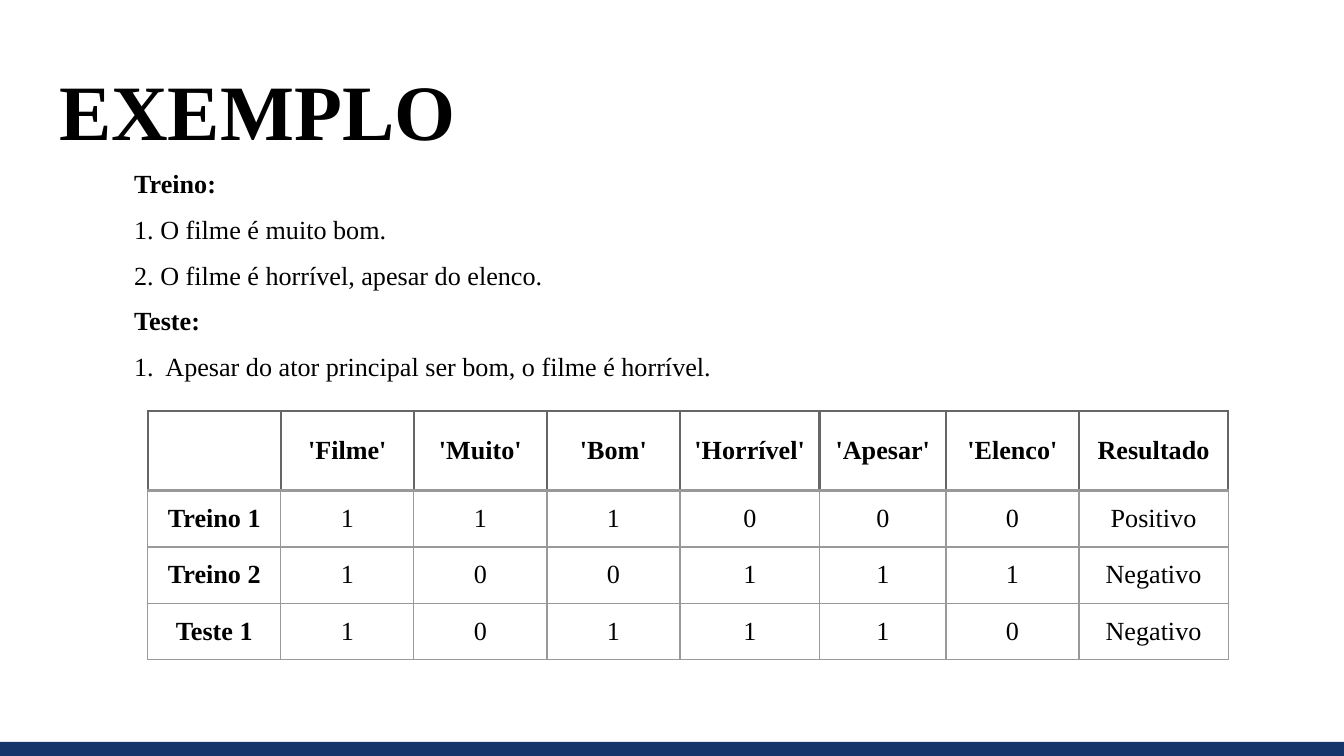
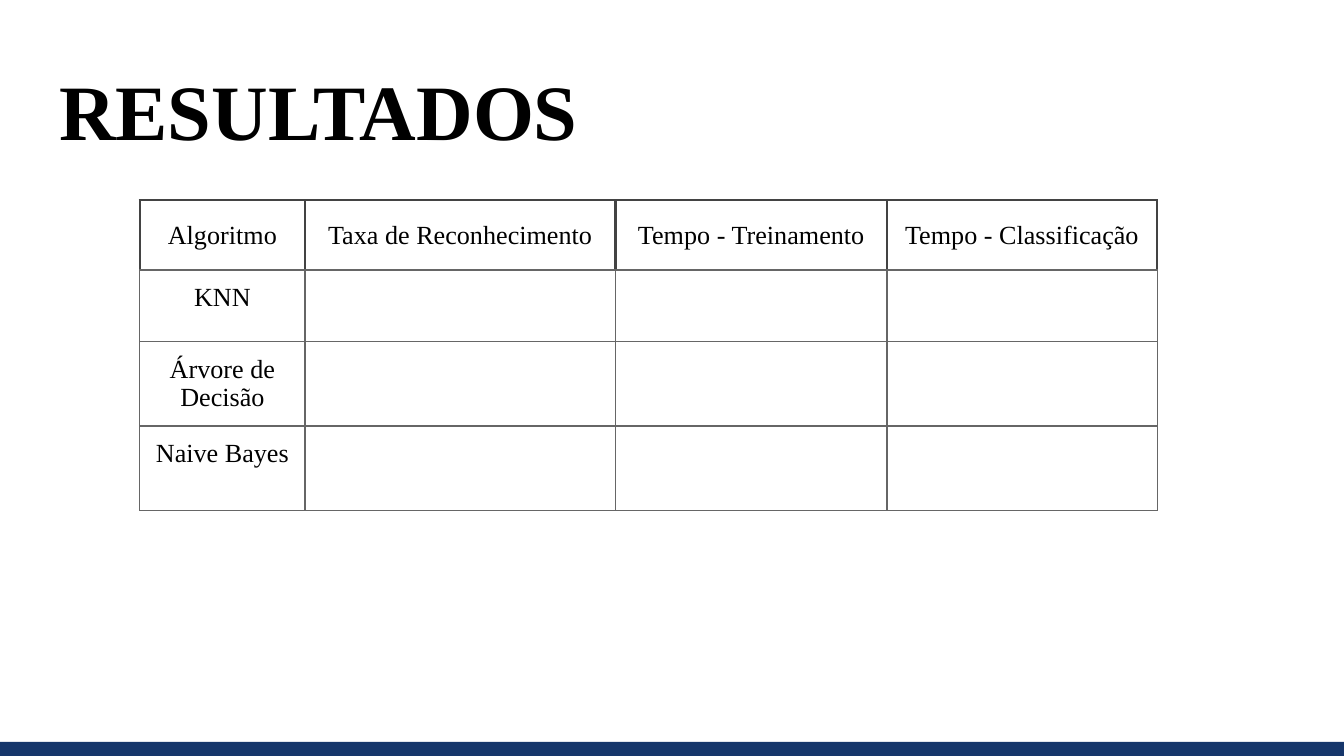
from dataclasses import dataclass

from lxml import etree
from pptx import Presentation
from pptx.dml.color import RGBColor
from pptx.enum.shapes import MSO_SHAPE
from pptx.enum.text import MSO_ANCHOR, MSO_AUTO_SIZE, PP_ALIGN
from pptx.oxml.ns import qn
from pptx.util import Inches, Pt

WHITE = RGBColor(0xFF, 0xFF, 0xFF)
BLACK = RGBColor(0x00, 0x00, 0x00)
NAVY = RGBColor(0x16, 0x36, 0x6B)
CHARCOAL = RGBColor(0x43, 0x43, 0x43)
DARK_GRAY = RGBColor(0x66, 0x66, 0x66)
GRAY = RGBColor(0x99, 0x99, 0x99)

RECTANGLE = MSO_SHAPE.RECTANGLE
TOP, MIDDLE, BOTTOM = MSO_ANCHOR.TOP, MSO_ANCHOR.MIDDLE, MSO_ANCHOR.BOTTOM
LEFT, CENTER = PP_ALIGN.LEFT, PP_ALIGN.CENTER
NO_AUTOFIT = MSO_AUTO_SIZE.NONE

FONT = "Times New Roman"
TITLE_SIZE, TEXT_SIZE = Pt(42), Pt(14)
THICK, THIN = Pt(1.5), Pt(0.75)
SLIDE_WIDTH, SLIDE_HEIGHT = Inches(10), Inches(5.625)
MARGIN = Inches(0.1)


@dataclass
class TableStyle:
    """Line colours and text treatment of one table."""
    header_line: RGBColor
    body_line: RGBColor
    bold_labels: bool
    body_anchor: MSO_ANCHOR


def box(left, top, width, height):
    """Turn percentages of the slide into left, top, width and height."""
    return (int(SLIDE_WIDTH * left / 100), int(SLIDE_HEIGHT * top / 100),
            int(SLIDE_WIDTH * width / 100), int(SLIDE_HEIGHT * height / 100))


TITLE_BOX = box(3.4, 6.22, 93.2, 16.18)
FOOTER_BOX = box(0, 98.13, 100, 1.87)


def add_run(paragraph, text, size=TEXT_SIZE, bold=False):
    """Add one run in the deck's font."""
    run = paragraph.add_run()
    run.text = text
    run.font.name, run.font.size, run.font.bold = FONT, size, bold
    run.font.color.rgb = BLACK


def set_margins(holder):
    """Give a text frame or a cell equal margins."""
    holder.margin_left = holder.margin_right = MARGIN
    holder.margin_top = holder.margin_bottom = MARGIN


def add_footer_band(slide, area):
    """Draw the band along the bottom edge."""
    band = slide.shapes.add_shape(RECTANGLE, *area)
    band.shadow.inherit = False
    band.fill.solid()
    band.fill.fore_color.rgb = NAVY
    band.line.fill.background()


def set_title(slide, text, area):
    """Place and format the title placeholder."""
    title = slide.shapes.title
    title.left, title.top, title.width, title.height = area
    frame = title.text_frame
    set_margins(frame)
    frame.auto_size, frame.vertical_anchor = NO_AUTOFIT, BOTTOM
    paragraph = frame.paragraphs[0]
    paragraph.alignment = LEFT
    add_run(paragraph, text, TITLE_SIZE, True)


def start_slide(presentation, title):
    """Add a slide with the shared background, band and title."""
    slide = presentation.slides.add_slide(presentation.slide_layouts[5])
    slide.background.fill.solid()
    slide.background.fill.fore_color.rgb = WHITE
    add_footer_band(slide, FOOTER_BOX)
    set_title(slide, title, TITLE_BOX)
    return slide


def add_sentences(slide, area, sentences):
    """Write the sentences, each a pair of text and bold flag."""
    frame = slide.shapes.add_textbox(*area).text_frame
    frame.word_wrap = True
    set_margins(frame)
    for index, (text, bold) in enumerate(sentences):
        paragraph = frame.add_paragraph() if index else frame.paragraphs[0]
        paragraph.line_spacing, paragraph.space_after = 0.5, Pt(16)
        properties = paragraph._p.get_or_add_pPr()
        properties.set("marL", str(Inches(0.5)))
        properties.set("indent", str(-Inches(0.08)))
        add_run(paragraph, text, bold=bold)


def set_borders(cell, borders):
    """Draw cell borders from a mapping of side to colour and width."""
    properties = cell._tc.get_or_add_tcPr()
    for side in "LRTB":
        color, width = borders[side]
        line = etree.SubElement(properties, qn(f"a:ln{side}"), w=str(width))
        fill = etree.SubElement(line, qn("a:solidFill"))
        etree.SubElement(fill, qn("a:srgbClr"), val=str(color))


def borders_for_row(row, style):
    """Choose the borders for a header row or a body row."""
    divider = (style.body_line, THICK)
    if row == 0:
        return {**dict.fromkeys("LRT", (style.header_line, THICK)), "B": divider}
    borders = dict.fromkeys("LRTB", (style.body_line, THIN))
    return {**borders, "T": divider} if row == 1 else borders


def share_out(parts, total, weights):
    """Split a length over columns or rows by weight."""
    for part, weight in zip(parts, weights):
        size = int(total * weight / sum(weights))
        if hasattr(part, "width"):
            part.width = size
        else:
            part.height = size


def add_grid_table(slide, area, column_weights, row_weights, rows, style):
    """Add a ruled table with a header row and a label column."""
    table = slide.shapes.add_table(len(rows), len(rows[0]), *area).table
    table.first_row = table.horz_banding = False
    share_out(table.columns, area[2], column_weights)
    share_out(table.rows, area[3], row_weights)
    for row, texts in enumerate(rows):
        for column, text in enumerate(texts):
            cell = table.cell(row, column)
            set_margins(cell)
            set_borders(cell, borders_for_row(row, style))
            cell.fill.background()
            cell.vertical_anchor = style.body_anchor if row else MIDDLE
            paragraph = cell.text_frame.paragraphs[0]
            paragraph.alignment = CENTER
            if text:
                is_label = row == 0 or column == 0
                add_run(paragraph, text, bold=style.bold_labels and is_label)


def build_example(presentation):
    """Build the slide with sample sentences and their word counts."""
    slide = start_slide(presentation, "EXEMPLO")
    rows = [
        ["", "'Filme'", "'Muito'", "'Bom'", "'Horrível'", "'Apesar'",
         "'Elenco'", "Resultado"],
        ["Treino 1", *"111000", "Positivo"],
        ["Treino 2", *"100111", "Negativo"],
        ["Teste 1", *"101110", "Negativo"],
    ]
    add_grid_table(slide, box(11, 54.4, 80.4, 32.89),
                   [0.99, 0.99, 0.99, 0.99, 1.04, 0.94, 0.99, 1.11],
                   [0.59, 0.42, 0.42, 0.42], rows,
                   TableStyle(DARK_GRAY, GRAY, True, MIDDLE))
    add_sentences(slide, box(4.8, 22.22, 80.4, 45.51), [
        ("Treino:", True),
        ("1. O filme é muito bom.", False),
        ("2. O filme é horrível, apesar do elenco.", False),
        ("Teste:", True),
        ("1.  Apesar do ator principal ser bom, o filme é horrível.", False),
    ])


def build_results(presentation):
    """Build the slide with the algorithm comparison."""
    slide = start_slide(presentation, "RESULTADOS")
    headers = ["Algoritmo", "Taxa de Reconhecimento", "Tempo - Treinamento",
               "Tempo - Classificação"]
    algorithms = ["KNN", "Árvore de Decisão", "Naive Bayes"]
    rows = [headers] + [[name, "", "", ""] for name in algorithms]
    add_grid_table(slide, box(10.4, 26.49, 75.7, 41.07),
                   [1.23, 2.31, 2.02, 2.01], [0.52, 0.53, 0.63, 0.63], rows,
                   TableStyle(CHARCOAL, DARK_GRAY, False, TOP))


def main():
    """Build and save the presentation."""
    presentation = Presentation()
    presentation.slide_width = SLIDE_WIDTH
    presentation.slide_height = SLIDE_HEIGHT
    build_example(presentation)
    build_results(presentation)
    presentation.save("out.pptx")


main()
